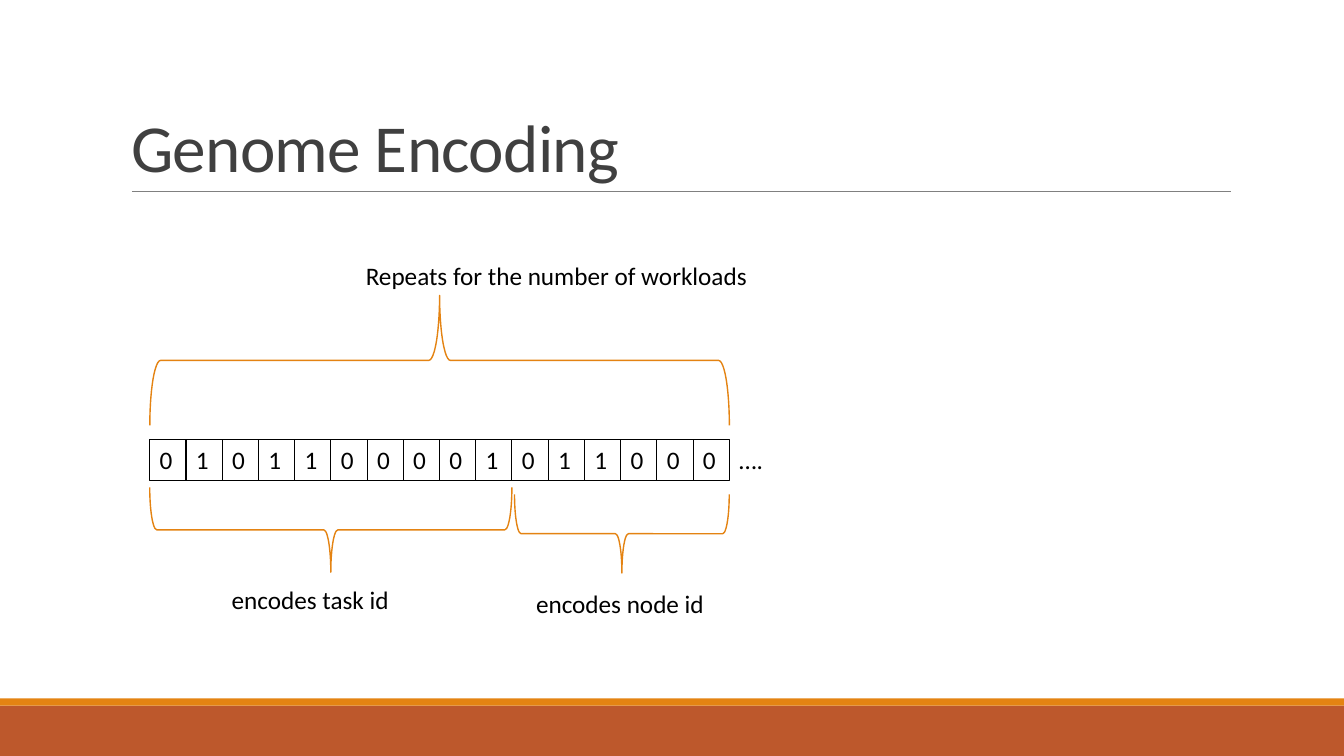
from pptx import Presentation
from pptx.dml.color import RGBColor
from pptx.enum import shapes, text
from pptx.oxml.ns import qn
from pptx.util import Pt
from lxml import etree

SHAPE = shapes.MSO_SHAPE
ORANGE, RUST, BLACK = "E48312", "BD582C", "000000"


def color(hex_value):
    return RGBColor.from_string(hex_value)


def write(frame, wording, size=18, ink=BLACK):
    frame.text = wording
    frame.word_wrap = True
    paragraph = frame.paragraphs[0]
    paragraph.alignment = text.PP_ALIGN.LEFT
    font = paragraph.runs[0].font
    for key, value in {"name": "Calibri", "size": Pt(size)}.items():
        setattr(font, key, value)
    font.color.rgb = color(ink)
    return paragraph


deck = Presentation()
deck.slide_width, deck.slide_height = Pt(960), Pt(540)
slide = deck.slides.add_slide(deck.slide_layouts[5])

# Footer bands
for top, height, band_color in [(504, 36, RUST), (498.9, 5.1, ORANGE)]:
    band = slide.shapes.add_shape(SHAPE.RECTANGLE, 0, Pt(top), Pt(960), Pt(height))
    band.shadow.inherit = False
    band.fill.solid()
    band.fill.fore_color.rgb = color(band_color)
    band.line.fill.background()

# Title and the rule below it
title = slide.shapes.title
place = {"left": 86.4, "top": 22.6, "width": 792, "height": 114.2}
for key, value in place.items():
    setattr(title, key, Pt(value))
heading = write(title.text_frame, "Genome Encoding", 48, "404040")
heading.line_spacing = 0.85
heading.runs[0].font._element.set("spc", "-50")
title.text_frame.auto_size = text.MSO_AUTO_SIZE.NONE
title.text_frame.vertical_anchor = text.MSO_ANCHOR.BOTTOM

rule = slide.shapes.add_connector(
    shapes.MSO_CONNECTOR.STRAIGHT, Pt(94.3), Pt(136.8), Pt(879.1), Pt(136.8))
rule.line.color.rgb = color("808080")
rule.line.width = Pt(0.5)
etree.SubElement(rule._element.spPr, qn("a:effectLst"))

# Genome bits
genome = "0101100001011000"
genome_left, genome_top, bit_width, bit_height = 107, 314, 25.87, 29.08
for index, bit in enumerate(genome):
    cell = slide.shapes.add_shape(
        SHAPE.RECTANGLE, Pt(genome_left + index * bit_width), Pt(genome_top),
        Pt(bit_width), Pt(bit_height))
    cell.shadow.inherit = False
    cell.fill.background()
    cell.line.color.rgb = color(BLACK)
    cell.line.width = Pt(0.75)
    write(cell.text_frame, bit)
    cell.text_frame.vertical_anchor = text.MSO_ANCHOR.TOP

# Braces: centre x, centre y, depth, span, rotation
for center_x, center_y, depth, span, turn in [
    (314, 257.4, 92.9, 414, 270),
    (236.3, 378.5, 60.5, 258.7, 90),
    (444.2, 381.2, 56.2, 153.4, 90),
]:
    brace = slide.shapes.add_shape(
        SHAPE.RIGHT_BRACE, Pt(center_x - depth / 2), Pt(center_y - span / 2),
        Pt(depth), Pt(span))
    brace.rotation = turn
    brace.shadow.inherit = False
    brace.fill.background()
    brace.line.color.rgb = color(ORANGE)
    brace.line.width = Pt(1)

# Labels
for wording, left, top, width in [
    ("….", 520.9, genome_top, 89.3),
    ("Repeats for the number of workloads", 254.2, 182.2, 372.2),
    ("encodes task id", 158.4, 414, 155.5),
    ("encodes node id", 375.8, 416.5, 171.4),
]:
    label = slide.shapes.add_textbox(Pt(left), Pt(top), Pt(width), Pt(bit_height))
    write(label.text_frame, wording)

deck.save("out.pptx")
